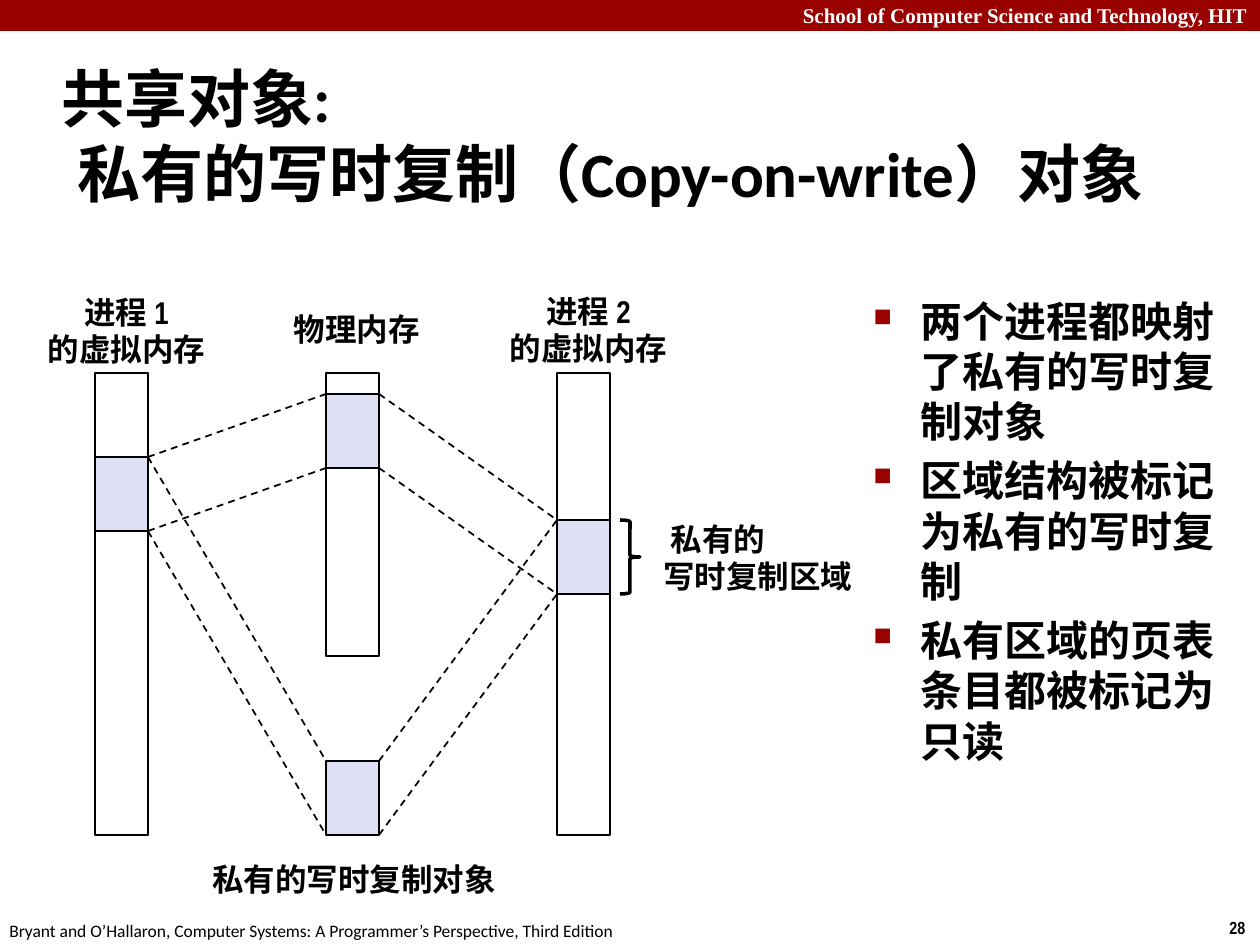
from dataclasses import dataclass

import pptx
import pptx.dml.color
import pptx.enum.dml
import pptx.enum.shapes
import pptx.enum.text
import pptx.oxml
import pptx.oxml.ns
import pptx.util

PX_PER_INCH = 126
COLORS = {"black": "000000", "white": "FFFFFF", "red": "990000", "page": "DEDFF5"}
ALIGN = pptx.enum.text.PP_ALIGN
ANCHOR = pptx.enum.text.MSO_ANCHOR
SHAPE = pptx.enum.shapes.MSO_SHAPE

COLUMN_LEFTS = [95 + 231 * index for index in range(3)]
COLUMN_WIDTH = 53
COLUMN_TOP = 373
VIRTUAL_HEIGHT = 462
PHYSICAL_HEIGHT = 283
PAGE_HEIGHT = 74


@dataclass(frozen=True)
class Block:
    left: int
    top: int
    height: int
    width: int = COLUMN_WIDTH
    fill: str | None = None
    line: int | None = 1
    kind: SHAPE = SHAPE.RECTANGLE


@dataclass(frozen=True)
class Label:
    left: int
    top: int
    width: int
    height: int
    paragraphs: tuple[str, ...]
    size: int = 18
    font: str = "Arial Narrow"
    bold: bool = True
    color: str = "black"
    align: ALIGN = ALIGN.LEFT
    anchor: ANCHOR = ANCHOR.TOP
    wrap: bool = False
    hanging: int = 0
    bullet: bool = False


def px(length: int) -> pptx.util.Emu:
    return pptx.util.Emu(round(length * 914400 / PX_PER_INCH))


def rgb(name: str) -> pptx.dml.color.RGBColor:
    return pptx.dml.color.RGBColor.from_string(COLORS[name])


def set_values(target: object, values: dict) -> None:
    for name, value in values.items():
        setattr(target, name, value)


def add_xml(parent, tag: str, body: str = "", attributes: str = "") -> None:
    namespace = pptx.oxml.ns.nsdecls("a")
    parent.append(pptx.oxml.parse_xml(f"<a:{tag} {namespace} {attributes}>{body}</a:{tag}>"))


def add_block(slide, block: Block) -> None:
    shape = slide.shapes.add_shape(
        block.kind, px(block.left), px(block.top), px(block.width), px(block.height))
    shape.shadow.inherit = False
    if block.fill:
        shape.fill.solid()
        shape.fill.fore_color.rgb = rgb(block.fill)
    else:
        shape.fill.background()
    if block.line:
        shape.line.color.rgb = rgb("black")
        shape.line.width = pptx.util.Pt(block.line)
    else:
        shape.line.fill.background()


def add_bullet(properties) -> None:
    add_xml(properties, "buClr", f'<a:srgbClr val="{COLORS["red"]}"/>')
    add_xml(properties, "buSzPct", attributes='val="60000"')
    add_xml(properties, "buChar", attributes='char="■"')


def add_label(slide, label: Label) -> None:
    box = slide.shapes.add_textbox(
        px(label.left), px(label.top), px(label.width), px(label.height))
    frame = box.text_frame
    set_values(frame, {"word_wrap": label.wrap, "vertical_anchor": label.anchor})
    for index, text in enumerate(label.paragraphs):
        paragraph = frame.add_paragraph() if index else frame.paragraphs[0]
        paragraph.text = text
        paragraph.alignment = label.align
        properties = paragraph._p.get_or_add_pPr()
        if label.hanging:
            properties.set("marL", str(px(label.hanging)))
            properties.set("indent", str(-px(label.hanging)))
        if label.bullet:
            if index:
                paragraph.space_before = pptx.util.Pt(label.size * 0.2)
            add_bullet(properties)
        for run in paragraph.runs:
            set_values(run.font, {"name": label.font, "size": pptx.util.Pt(label.size),
                                  "bold": label.bold})
            run.font.color.rgb = rgb(label.color)


def add_mapping(slide, start: tuple[int, int], end: tuple[int, int]) -> None:
    """Join the top and bottom corners of two pages with dashed lines."""
    for offset in (0, PAGE_HEIGHT):
        connector = slide.shapes.add_connector(
            pptx.enum.shapes.MSO_CONNECTOR.STRAIGHT,
            px(start[0]), px(start[1] + offset), px(end[0]), px(end[1] + offset))
        set_values(connector.line, {"width": pptx.util.Pt(1),
                                    "dash_style": pptx.enum.dml.MSO_LINE.DASH})
        connector.line.color.rgb = rgb("black")
        add_xml(connector._element.spPr, "effectLst")


def main() -> None:
    presentation = pptx.Presentation()
    set_values(presentation, {"slide_width": px(1260), "slide_height": px(945)})
    slide = presentation.slides.add_slide(presentation.slide_layouts[6])

    process1, physical, process2 = COLUMN_LEFTS
    page1_top, frame_top, page2_top, object_top = 457, 394, 520, 761

    add_block(slide, Block(0, 0, 31, 1260, fill="red", line=None))
    for left, height in ((process1, VIRTUAL_HEIGHT), (physical, PHYSICAL_HEIGHT),
                         (process2, VIRTUAL_HEIGHT)):
        add_block(slide, Block(left, COLUMN_TOP, height))
    for left, top in ((process1, page1_top), (physical, frame_top),
                      (process2, page2_top), (physical, object_top)):
        add_block(slide, Block(left, top, PAGE_HEIGHT, fill="page"))
    add_block(slide, Block(620, page2_top, PAGE_HEIGHT, 20, line=2, kind=SHAPE.RIGHT_BRACE))

    for top in (frame_top, object_top):
        add_mapping(slide, (process1 + COLUMN_WIDTH, page1_top), (physical, top))
        add_mapping(slide, (physical + COLUMN_WIDTH, top), (process2, page2_top))

    centered = {"align": ALIGN.CENTER, "anchor": ANCHOR.MIDDLE}
    labels = [
        Label(0, -4, 1260, 38, ("School of Computer Science and Technology, HIT",),
              size=12, font="Times New Roman", color="white", align=ALIGN.RIGHT, wrap=True),
        Label(49, 60, 1148, 150, ("共享对象:\v私有的写时复制（Copy-on-write）对象",),
              size=36, font="Calibri", anchor=ANCHOR.MIDDLE, wrap=True, hanging=16),
        Label(861, 289, 399, 577,
              ("两个进程都映射了私有的写时复制对象", "区域结构被标记为私有的写时复制",
               "私有区域的页表条目都被标记为只读"),
              size=24, font="Calibri", wrap=True, hanging=47, bullet=True),
        Label(34, 286, 185, 89, ("进程 1", "的虚拟内存"), **centered),
        Label(280, 304, 154, 50, ("物理内存",), **centered),
        Label(496, 285, 185, 89, ("进程 2", "的虚拟内存"), **centered),
        Label(651, 513, 218, 89, (" 私有的", "写时复制区域"), anchor=ANCHOR.MIDDLE),
        Label(197, 854, 321, 50, ("私有的写时复制对象 ",), **centered),
        Label(-3, 914, 640, 34,
              ("Bryant and O’Hallaron, Computer Systems: A Programmer’s Perspective, "
               "Third Edition",), size=10, font="Calibri", bold=False),
        Label(1217, 911, 43, 34, ("28",), size=10),
    ]
    for label in labels:
        add_label(slide, label)

    presentation.save("out.pptx")


if __name__ == "__main__":
    main()
